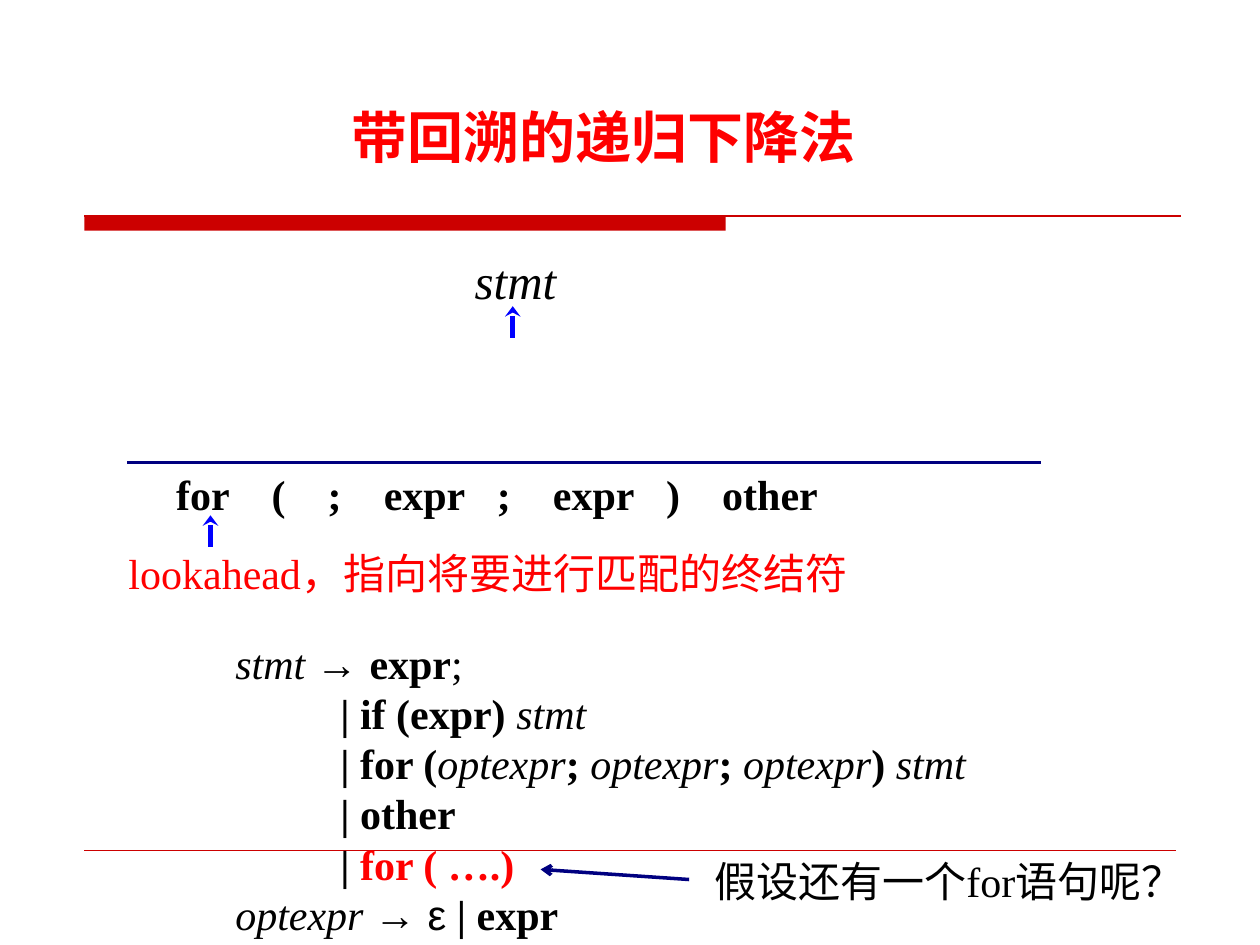
import pptx
import pptx.dml.color
import pptx.enum.shapes
import pptx.enum.text
import pptx.oxml.ns
import pptx.util
from lxml import etree

Pt = pptx.util.Pt
ALIGN = pptx.enum.text.PP_ALIGN
ANCHOR = pptx.enum.text.MSO_ANCHOR
COLORS = {"rule": "CC0000", "accent": "FF0000", "pointer": "0000FF",
          "navy": "000080", "text": "000000"}
FONT = "Times New Roman"


def rgb(name):
    return pptx.dml.color.RGBColor.from_string(COLORS[name])


def add_run(paragraph, text, size=24, color="text", bold=False, italic=False, font=FONT):
    run = paragraph.add_run()
    run.text = text
    run.font.name = font
    run.font.size = Pt(size)
    run.font.bold = bold
    run.font.italic = italic
    run.font.color.rgb = rgb(color)


def add_child(parent, tag, **attributes):
    child = etree.SubElement(parent, pptx.oxml.ns.qn(tag))
    for key, value in attributes.items():
        child.set(key, str(value))
    return child


def set_tabs(paragraph, stops):
    tab_list = add_child(paragraph._p.get_or_add_pPr(), "a:tabLst")
    for stop in stops:
        add_child(tab_list, "a:tab", pos=Pt(stop), algn="l")


class SlideBuilder:
    """Holds the current slide and draws in its style; lengths are in points."""

    def __init__(self, slide):
        self.slide = slide

    def format_frame(self, frame, wrap, anchor, side_margin=7.2):
        frame.word_wrap = wrap
        frame.vertical_anchor = anchor
        frame.margin_left = frame.margin_right = Pt(side_margin)
        frame.margin_top = frame.margin_bottom = Pt(3.6)
        frame.auto_size = pptx.enum.text.MSO_AUTO_SIZE.SHAPE_TO_FIT_TEXT

    def title(self, text, left, top, width, height):
        title = self.slide.shapes.title
        title.left, title.top, title.width, title.height = map(Pt, (left, top, width, height))
        self.format_frame(title.text_frame, False, ANCHOR.TOP, side_margin=0)
        paragraph = title.text_frame.paragraphs[0]
        paragraph.alignment = ALIGN.CENTER
        add_run(paragraph, text, size=32, color="accent", bold=True)

    def frame(self, left, top, width, height, wrap=False, anchor=ANCHOR.TOP):
        box = self.slide.shapes.add_textbox(*map(Pt, (left, top, width, height)))
        self.format_frame(box.text_frame, wrap, anchor)
        return box.text_frame

    def label(self, text, left, top, width, height, align=ALIGN.CENTER, tabs=(), **style):
        paragraph = self.frame(left, top, width, height).paragraphs[0]
        paragraph.alignment = align
        if tabs:
            set_tabs(paragraph, tabs)
        add_run(paragraph, text, **style)

    def bar(self, left, top, width, height, color):
        shape = self.slide.shapes.add_shape(
            pptx.enum.shapes.MSO_SHAPE.RECTANGLE, *map(Pt, (left, top, width, height)))
        shape.shadow.inherit = False
        shape.fill.solid()
        shape.fill.fore_color.rgb = rgb(color)
        shape.line.fill.background()

    def line(self, start, end, color, weight, arrow=None, arrow_length="med"):
        """Draw a line; arrow is the type of the head at its end."""
        line = self.slide.shapes.add_connector(
            pptx.enum.shapes.MSO_CONNECTOR.STRAIGHT, *map(Pt, (*start, *end)))
        line.line.color.rgb = rgb(color)
        line.line.width = Pt(weight)
        if arrow:
            add_child(line.line._get_or_add_ln(), "a:tailEnd",
                      type=arrow, w="med", len=arrow_length)
        add_child(line._element.spPr, "a:effectLst")

    def pointer(self, x, tip):
        self.line((x, tip + 18), (x, tip), "pointer", 3, "stealth", "sm")

    def grammar(self, productions, left, top, width, height):
        """Write (runs, is_alternative) lines; alternatives are indented."""
        frame = self.frame(left, top, width, height, wrap=True, anchor=ANCHOR.BOTTOM)
        for index, (runs, is_alternative) in enumerate(productions):
            paragraph = frame.add_paragraph() if index else frame.paragraphs[0]
            paragraph.line_spacing = Pt(28.7)
            properties = paragraph._p.get_or_add_pPr()
            properties.set("marL", str(Pt(60 if is_alternative else 0)))
            properties.set("indent", "0")
            for text, style in runs:
                add_run(paragraph, text, **style)


TERMINAL = {"bold": True}
NONTERMINAL = {"italic": True}
SYMBOL = {"font": "Arial"}
PRODUCTIONS = [
    ([("stmt ", NONTERMINAL), ("→ ", SYMBOL), ("expr", TERMINAL), (";", {})], False),
    ([("| if (expr) ", TERMINAL), ("stmt", NONTERMINAL)], True),
    ([("| for (", TERMINAL), ("optexpr", NONTERMINAL), ("; ", TERMINAL),
      ("optexpr", NONTERMINAL), ("; ", TERMINAL), ("optexpr", NONTERMINAL),
      (") ", TERMINAL), ("stmt", NONTERMINAL)], True),
    ([("| other", TERMINAL)], True),
    ([("| ", TERMINAL), ("for ( ….)", {"bold": True, "color": "accent"})], True),
    ([("optexpr ", NONTERMINAL), ("→ ε", SYMBOL), (" | expr", TERMINAL)], False),
]
INPUT_TOKENS = ["for", "(", ";", "expr", ";", "expr", ")", "other"]
TOKEN_STOPS = [54.6, 86.6, 118.6, 183.3, 215.3, 280, 312]


def main():
    presentation = pptx.Presentation()
    presentation.slide_width, presentation.slide_height = Pt(720), Pt(540)
    builder = SlideBuilder(presentation.slides.add_slide(presentation.slide_layouts[5]))

    builder.bar(48.2, 123.1, 366.5, 8.7, "rule")
    builder.line((48.2, 123.4), (674.6, 123.4), "rule", 1)
    builder.line((48.2, 486), (672, 486), "rule", 0.25)
    builder.title("带回溯的递归下降法", 183.7, 54.7, 322.4, 46.1)

    builder.label("stmt", 264.2, 139.7, 90, 41, align=ALIGN.LEFT, size=28, italic=True)
    builder.pointer(293, 175)
    builder.label("\t".join(INPUT_TOKENS), 93.6, 264.2, 380.9, 36,
                  align=ALIGN.LEFT, tabs=TOKEN_STOPS, bold=True)
    builder.line((72.7, 264.2), (594.7, 264.2), "navy", 2)
    builder.pointer(120.3, 294.5)
    builder.label("lookahead，指向将要进行匹配的终结符", 63.4, 309.6, 430.6, 36, color="accent")

    builder.grammar(PRODUCTIONS, 127.4, 360, 481.7, 180)
    builder.line((393.8, 502.6), (308.9, 496.8), "navy", 2, "arrow")
    builder.label("假设还有一个for语句呢？", 395.3, 485.3, 293.8, 36)

    presentation.save("out.pptx")


if __name__ == "__main__":
    main()
